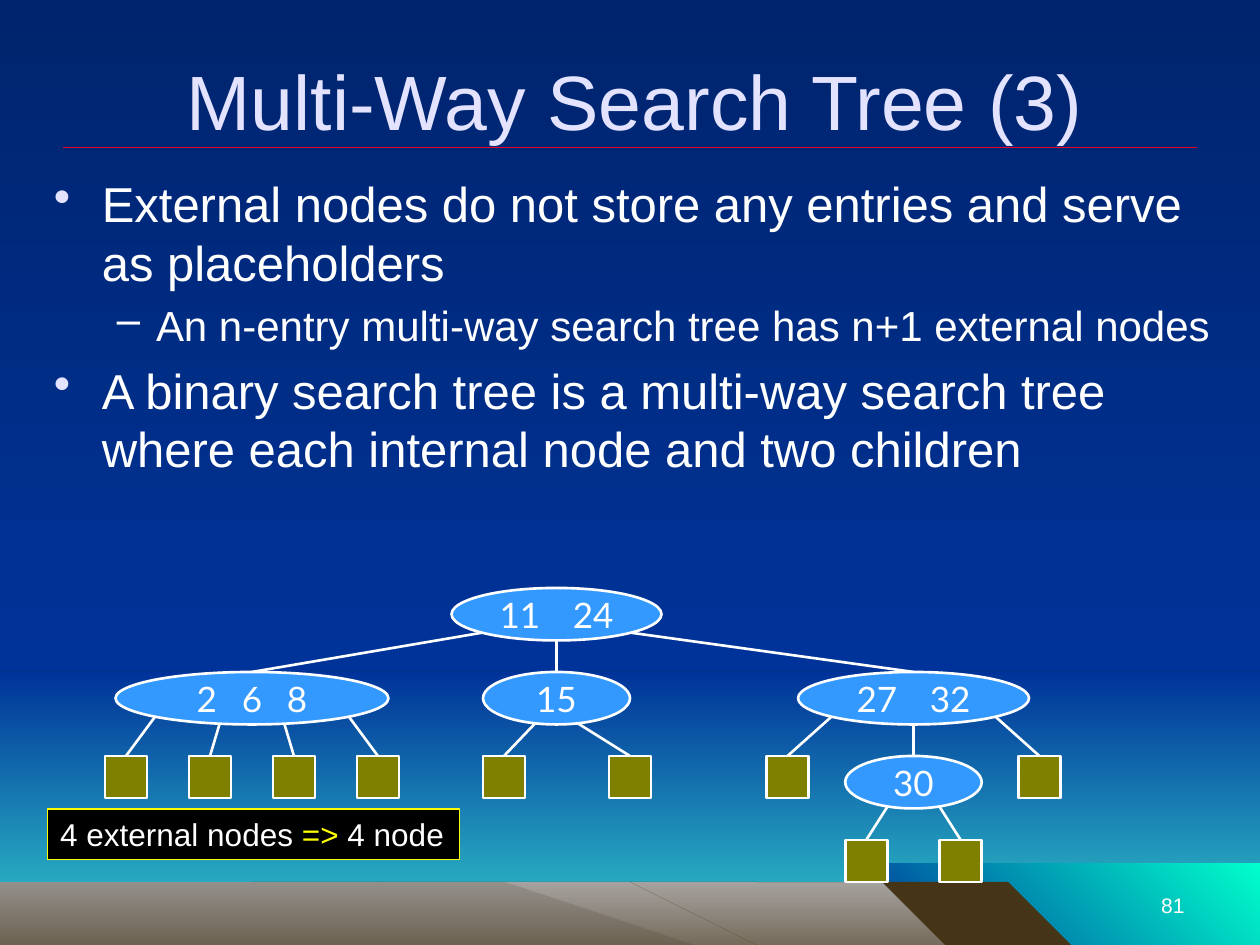
from lxml.etree import SubElement
from pptx import Presentation
from pptx.dml.color import RGBColor
from pptx.enum.shapes import MSO_CONNECTOR, MSO_SHAPE
from pptx.enum.text import MSO_ANCHOR, PP_ALIGN
from pptx.oxml.ns import qn
from pptx.util import Inches, Pt

WIDE, HIGH = 10, 7.5
UNIT = 1 / 12      # tree grid column and row, in inches
TOP, STEP = 56, 8  # first tree row and row pitch, in grid units
OVAL, LEAF = 5, 4  # heights of inner nodes and leaves, in grid units

HUE = {
    "night": "00246D", "sky": "003399", "haze": "33CCCC", "sea": "00FFCC",
    "peak": "A5A29F", "slope": "938F8B", "earth": "463416", "rule": "EF0129",
    "title": "E3E3FF", "white": "FFFFFF", "node": "3399FF", "leaf": "808000",
    "black": "000000", "mark": "FFFF00",
}

TITLE = "Multi-Way Search Tree (3)"
BODY = [
    (0, "External nodes do not store any entries and serve as placeholders"),
    (1, "An n-entry multi-way search tree has n+1 external nodes"),
    (0, "A binary search tree is a multi-way search tree where each internal node and two children"),
]
# level: bullet, bullet colour, text size, left margin, hanging indent
LEVELS = [("•", "title", 28, 0.38, 0.38), ("–", "white", 24, 0.81, 0.31)]
NOTE = [("4 external nodes ", "white"), ("=>", "mark"), (" 4 node", "white")]
PAGE = "81"

# node: keys, centre column, width in columns, share of the width over which
# the edges start, children; a child that is only a number is a leaf's column
TREE = (["11", "24"], 53, 20, 0.71, [
    (["2", "6", "8"], 24, 26, 0.71, [12, 20, 28, 36]),
    (["15"], 53, 14, 0.29, [48, 60]),
    (["27", "32"], 87, 22, 0.71, [75, (["30"], 87, 13, 0.38, [82.5, 91.5]), 99]),
])
GAPS = {2: 13.5, 3: 9}  # extra points between keys, by number of keys

# left, top, right, bottom, first colour, last colour, clockwise angle
PANELS = [
    (0, 5.33, WIDE, HIGH, "sky", "haze", 90),
    (0, 0, WIDE, 5.33, "night", "sky", 90),
    (6.83, 6.85, WIDE, HIGH, "sky", "sea", 315),
]

# light colour (None for plain shade) and outline
HILLS = [
    ("peak", [
        (2.58, HIGH), (3.27, 7.09), (3.94, 6.85), (4.65, 6.58), (4.86, 6.73), (5.26, 6.73),
        (5.36, 6.9), (5.66, 6.97), (6.29, 6.71), (6.56, 6.71), (6.85, 6.6), (7.02, 6.71),
        (7.23, 6.98), (7.78, 7.27), (8.21, HIGH)]),
    (None, [
        (6.85, 6.6), (7.07, 6.71), (7.34, 7.03), (7.71, 7.24), (7.96, 7.24), (8.58, HIGH),
        (7.92, HIGH), (7.2, 7.17), (6.93, 7.33), (6.98, 7.02)]),
    (None, [(4.71, 6.58), (4.97, 6.71), (4.65, 7.27), (4.73, 6.9)]),
    (None, [(5.29, 6.76), (5.92, 6.89), (5.76, 7), (5.8, 7.23), (5.36, 6.97)]),
    (None, [(6.3, 6.71), (6.56, 6.71), (6.57, 6.84), (6.43, 6.83)]),
    ("slope", [
        (0, HIGH), (0, 6.9), (0.68, 6.62), (1.6, 6.71), (2.05, 6.58), (2.36, 6.81),
        (2.71, 6.82), (3.18, 6.64), (3.54, 6.65), (4.32, 7.12), (6.9, HIGH)]),
    (None, [(2.12, 6.6), (2.71, 6.82), (2.67, 7.09), (2.41, 6.88), (2.08, 6.69)]),
    (None, [
        (3.39, 6.65), (3.7, 6.68), (4.55, 7.07), (6.9, HIGH), (4.72, 7.27), (4.07, 7.27),
        (3.74, 7.12), (3.63, 6.91), (3.37, 6.87)]),
    (None, [(0.69, 6.62), (1.11, 6.69), (0.93, 6.85), (1, 6.98), (0.82, 6.85)]),
]


def rgb(name):
    return RGBColor.from_string(HUE[name])


def blend(fill, first, last, angle):
    fill.gradient()
    fill.gradient_angle = (360 - angle) % 360
    for stop, name in zip(fill.gradient_stops, (first, last)):
        stop.color.rgb = rgb(name)


def paint(shape, fill, line=None, width=1.5):
    """Fill with one colour or a (first, last, angle) blend; outline if asked."""
    shape.shadow.inherit = False
    if isinstance(fill, tuple):
        blend(shape.fill, *fill)
    else:
        shape.fill.solid()
        shape.fill.fore_color.rgb = rgb(fill)
    if line:
        shape.line.color.rgb = rgb(line)
        shape.line.width = Pt(width)
    else:
        shape.line.fill.background()


def block(kind, *box):
    return shapes.add_shape(kind, *map(Inches, box))


def cell(kind, mid, top, wide, high):
    """Add a tree shape centred on a grid column."""
    shape = block(kind, *(n * UNIT for n in (mid - wide / 2, top, wide, high)))
    paint(shape, "leaf" if kind == MSO_SHAPE.RECTANGLE else "node", "white")
    return shape


def rule(x1, y1, x2, y2, color, width):
    line = shapes.add_connector(MSO_CONNECTOR.STRAIGHT, *map(Inches, (x1, y1, x2, y2)))
    line.line.color.rgb = rgb(color)
    line.line.width = Pt(width)
    SubElement(line._element.spPr, qn("a:effectLst"))
    return line


def write(para, parts, size, font="Arial"):
    for text, color in parts:
        run = para.add_run()
        run.text = text
        run.font.size, run.font.name = Pt(size), font
        run.font.color.rgb = rgb(color)


def label(box, text, size, color, align, anchor):
    frame = shapes.add_textbox(*map(Inches, box)).text_frame
    frame.word_wrap, frame.vertical_anchor = True, anchor
    frame.paragraphs[0].alignment = align
    write(frame.paragraphs[0], [(text, color)], size)


def bullet(para, level, text):
    char, color, size, left, hang = LEVELS[level]
    para.level = level
    props = para._p.get_or_add_pPr()
    props.set("marL", str(Inches(left)))
    props.set("indent", str(-Inches(hang)))
    tint = SubElement(props, qn("a:buClr"))
    SubElement(tint, qn("a:srgbClr"), val=HUE[color])
    SubElement(props, qn("a:buChar"), char=char)
    write(para, [(text, "white")], size)
    return size


def grow(node, row=0):
    """Draw a node with all below it and return its shape."""
    top = TOP + row * STEP
    if not isinstance(node, tuple):
        return cell(MSO_SHAPE.RECTANGLE, node, top, LEAF, LEAF)
    keys, mid, wide, spread, kids = node
    oval = cell(MSO_SHAPE.OVAL, mid, top, wide, OVAL)
    frame = oval.text_frame
    frame.word_wrap, frame.vertical_anchor = False, MSO_ANCHOR.MIDDLE
    para = frame.paragraphs[0]
    para.alignment = PP_ALIGN.CENTER
    parts = [(part, "white") for key in keys for part in (" ", key)]
    write(para, parts[1:], 20, "Lato")
    for run in para.runs[1::2]:
        run._r.get_or_add_rPr().set("spc", str(int(GAPS[len(keys)] * 100)))
    for spot, kid in enumerate(kids):
        share = spread * (2 * spot / (len(kids) - 1) - 1)
        drop = OVAL / 2 * (1 + (1 - share ** 2) ** 0.5)
        edge = rule((mid + share * wide / 2) * UNIT, (top + drop) * UNIT, 0, 0, "white", 1.5)
        edge.end_connect(grow(kid, row + 1), 0)
    return oval


deck = Presentation()
deck.slide_width, deck.slide_height = Inches(WIDE), Inches(HIGH)
slide = deck.slides.add_slide(deck.slide_layouts[6])
shapes = slide.shapes
blend(slide.background.fill, "night", "sky", 90)

for left, top, right, base, *shade in PANELS:
    paint(block(MSO_SHAPE.RECTANGLE, left, top, right - left, base - top), tuple(shade))
for light, points in HILLS:
    trace = shapes.build_freeform(*points[0], scale=Inches(1))
    trace.add_line_segments(points[1:], close=True)
    paint(trace.convert_to_shape(), (light, "earth", 90) if light else "earth")

rule(0.5, 1.17, WIDE - 0.5, 1.17, "rule", 0.75)
label((7.17, 6.83, 2.33, 0.5), PAGE, 12, "white", PP_ALIGN.RIGHT, MSO_ANCHOR.BOTTOM)
label((0.58, 0.33, 8.92, 0.92), TITLE, 44, "title", PP_ALIGN.CENTER, MSO_ANCHOR.MIDDLE)

body = shapes.add_textbox(*map(Inches, (0.33, 1.33, 9.42, 3))).text_frame
body.word_wrap = True
for spot, (level, text) in enumerate(BODY):
    para = body.add_paragraph() if spot else body.paragraphs[0]
    size = bullet(para, level, text)
    if spot:
        para.space_before = Pt(size * 0.2)

grow(TREE)

note = block(MSO_SHAPE.RECTANGLE, 0.38, 6.42, 3.27, 0.4)
paint(note, "black", "mark", 0.75)
note.text_frame.word_wrap = False
note.text_frame.vertical_anchor = MSO_ANCHOR.TOP
note.text_frame.paragraphs[0].alignment = PP_ALIGN.LEFT
write(note.text_frame.paragraphs[0], NOTE, 18)

deck.save("out.pptx")
